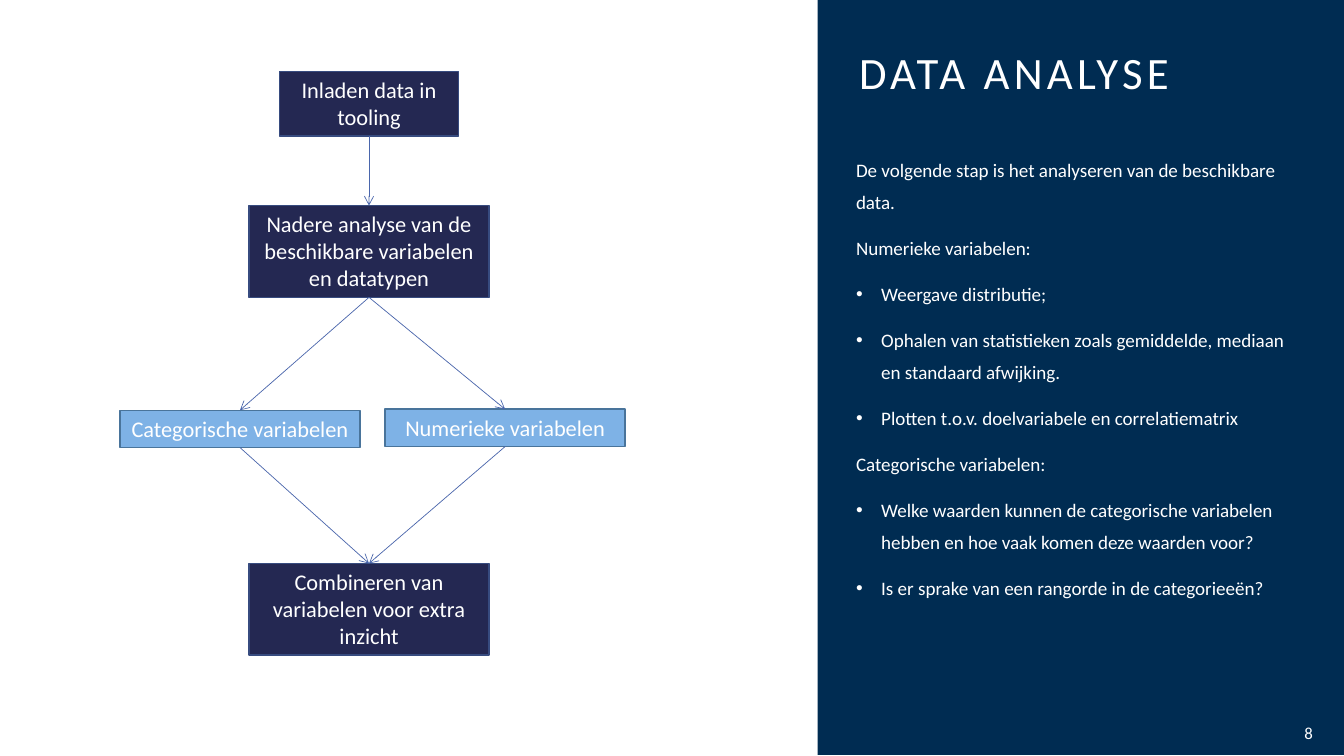
from lxml.etree import SubElement
from pptx import Presentation
from pptx.dml.color import RGBColor
from pptx.enum.shapes import MSO_CONNECTOR, MSO_SHAPE
from pptx.enum.text import MSO_ANCHOR, MSO_AUTO_SIZE, PP_ALIGN
from pptx.oxml.ns import qn
from pptx.util import Inches, Pt

FONT = "Calibri"
WHITE, PANEL = "FFFFFF", "002C52"
DARK, LIGHT = ("242852", "374B7F"), ("7EB2E6", "49749B")
ARROW = "4A66AC"

NODES = {
    "load": ("Inladen data in tooling", 2.47, 0, 1.78, 0.64, DARK),
    "explore": ("Nadere analyse van de beschikbare variabelen en datatypen",
                2.47, 1.33, 2.38, 0.91, DARK),
    "numeric": ("Numerieke variabelen", 3.82, 3.35, 2.38, 0.37, LIGHT),
    "categorical": ("Categorische variabelen", 1.19, 3.36, 2.38, 0.37, LIGHT),
    "combine": ("Combineren van variabelen voor extra inzicht",
                2.47, 4.88, 2.38, 0.91, DARK),
}
STEPS = [("load", "explore"), ("explore", "numeric"), ("explore", "categorical"),
         ("numeric", "combine"), ("categorical", "combine")]

BODY = [
    ("De volgende stap is het analyseren van de beschikbare data.", False),
    ("Numerieke variabelen:", False),
    ("Weergave distributie;", True),
    ("Ophalen van statistieken zoals gemiddelde, mediaan en standaard afwijking.", True),
    ("Plotten t.o.v. doelvariabele en correlatiematrix", True),
    ("Categorische variabelen:", False),
    ("Welke waarden kunnen de categorische variabelen hebben en hoe vaak komen "
     "deze waarden voor?", True),
    ("Is er sprake van een rangorde in de categorieeën?", True),
]


def color(hex_code):
    """Turn a hex string into a colour."""
    return RGBColor.from_string(hex_code)


def add_run(paragraph, text, size):
    """Add a white run to a paragraph."""
    run = paragraph.add_run()
    run.text = text
    run.font.name, run.font.size = FONT, Pt(size)
    run.font.color.rgb = color(WHITE)
    return run


def add_rectangle(slide, box, fill, line=None):
    """Add a flat rectangle, outlined if a line colour is given."""
    shape = slide.shapes.add_shape(MSO_SHAPE.RECTANGLE, *map(Inches, box))
    shape.shadow.inherit = False
    shape.fill.solid()
    shape.fill.fore_color.rgb = color(fill)
    if line:
        shape.line.color.rgb = color(line)
        shape.line.width = Pt(1)
    else:
        shape.line.fill.background()
    return shape


def add_text_frame(slide, box, anchor=MSO_ANCHOR.TOP, side=0):
    """Add a wrapping text box and return its text frame."""
    frame = slide.shapes.add_textbox(*map(Inches, box)).text_frame
    frame.word_wrap = True
    frame.vertical_anchor = anchor
    frame.margin_left = frame.margin_right = Inches(side)
    return frame


def add_bullet(paragraph):
    """Give a paragraph a hanging bullet."""
    properties = paragraph._p.get_or_add_pPr()
    properties.set("marL", str(Inches(0.25)))
    properties.set("indent", str(-Inches(0.25)))
    SubElement(properties, qn("a:buFont")).set("typeface", "Arial")
    SubElement(properties, qn("a:buChar")).set("char", "•")


def add_node(slide, box, text, colors):
    """Add one labelled step of the flow chart."""
    shape = add_rectangle(slide, box, *colors)
    frame = shape.text_frame
    frame.word_wrap = True
    frame.auto_size = MSO_AUTO_SIZE.SHAPE_TO_FIT_TEXT
    frame.vertical_anchor = MSO_ANCHOR.TOP
    paragraph = frame.paragraphs[0]
    paragraph.alignment = PP_ALIGN.CENTER
    add_run(paragraph, text, 16)
    return shape


def add_arrow(slide, start, end):
    """Join the bottom of one step to the top of the next."""
    arrow = slide.shapes.add_connector(MSO_CONNECTOR.STRAIGHT, 0, 0, 0, 0)
    arrow.begin_connect(start, 2)
    arrow.end_connect(end, 0)
    arrow.line.color.rgb = color(ARROW)
    arrow.line.width = Pt(0.5)
    SubElement(arrow.line._get_or_add_ln(), qn("a:tailEnd")).set("type", "arrow")
    SubElement(arrow._element.spPr, qn("a:effectLst"))


def add_flow_chart(slide, left, top):
    """Draw the steps and their arrows from the given corner."""
    shapes = {}
    for name, (text, center, down, width, height, colors) in NODES.items():
        box = (left + center - width / 2, top + down, width, height)
        shapes[name] = add_node(slide, box, text, colors)
    for start, end in STEPS:
        add_arrow(slide, shapes[start], shapes[end])


def add_side_panel(slide, left, top, width, height):
    """Draw the dark panel with title, explanation and page number."""
    add_rectangle(slide, (left, top, width, height), PANEL)

    title = add_text_frame(slide, (left + 0.41, top + 0.4, 4.39, 0.63), MSO_ANCHOR.MIDDLE)
    run = add_run(title.paragraphs[0], "DATA ANALYSE", 32)
    run.font._element.set("spc", "300")

    body = add_text_frame(slide, (left + 0.38, top + 1.43, 4.39, 5.07))
    for index, (text, bulleted) in enumerate(BODY):
        paragraph = body.add_paragraph() if index else body.paragraphs[0]
        paragraph.line_spacing = 1.4
        paragraph.space_before = Pt(10 if index else 0)
        if bulleted:
            add_bullet(paragraph)
        add_run(paragraph, text, 13.6)

    number_box = (left + width - 0.7, top + height - 0.42, 0.49, 0.4)
    number = add_text_frame(slide, number_box, MSO_ANCHOR.MIDDLE, 0.1)
    number.paragraphs[0].alignment = PP_ALIGN.RIGHT
    add_run(number.paragraphs[0], "8", 12)


def main():
    """Build and save the slide."""
    presentation = Presentation()
    presentation.slide_width, presentation.slide_height = Inches(13.33), Inches(7.5)
    slide = presentation.slides.add_slide(presentation.slide_layouts[6])
    add_side_panel(slide, 8.11, 0, 5.22, 7.49)
    add_flow_chart(slide, 1.19, 0.71)
    presentation.save("out.pptx")


if __name__ == "__main__":
    main()
